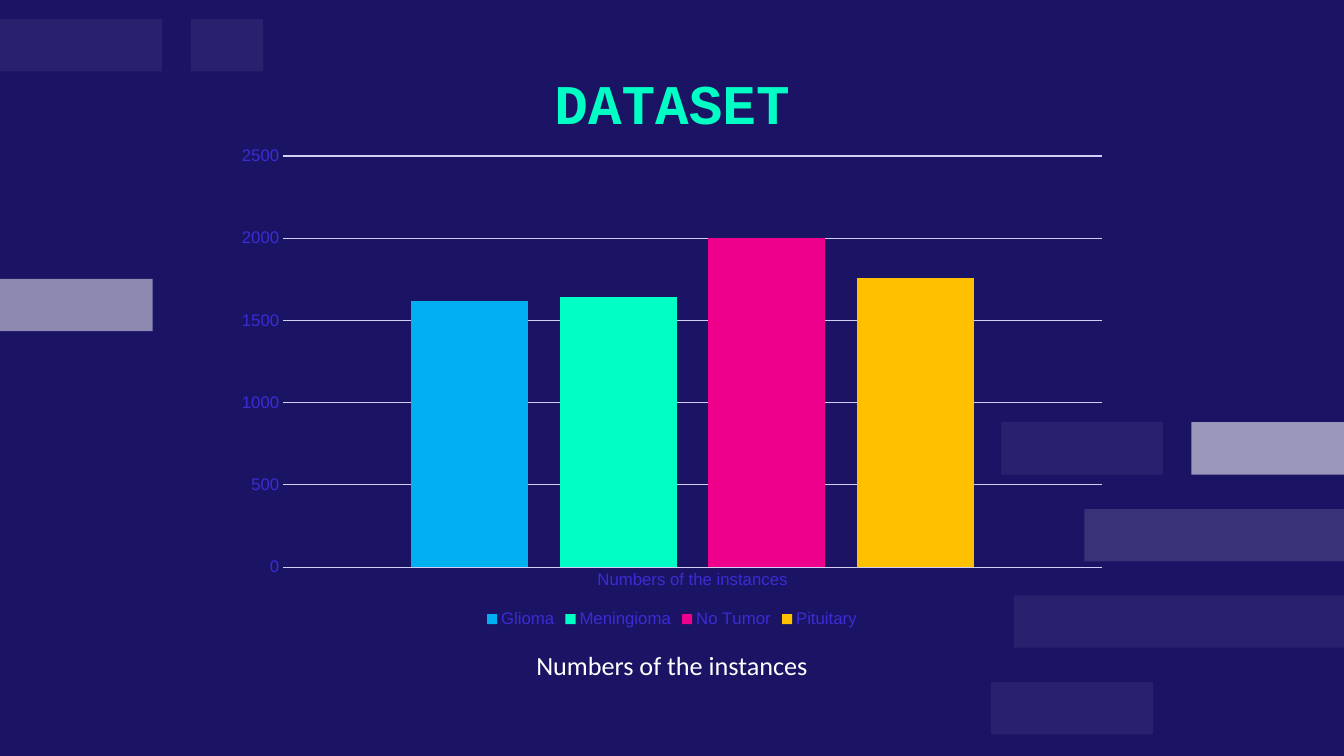
from pptx import Presentation
from pptx.chart.data import CategoryChartData
from pptx.dml.color import RGBColor
from pptx.enum import chart as charts, shapes, text
from pptx.oxml import ns
from pptx.util import Pt
from lxml import etree

NAVY, MINT, WHITE = "1B1464", "00FFC5", "FFFFFF"
VIOLET, LAVENDER = "3B2CD5", "D2CEF5"

BLOCK_HEIGHT = 37.4
# left, top, width, opacity in percent
BLOCKS = [
    (774.5, 363.6, 185.5, 13),
    (715, 301.6, 115.9, 6),
    (724.3, 425.3, 235.7, 6),
    (851, 301.6, 109, 56),
    (707.8, 487.2, 115.9, 6),
    (0, 199.2, 109, 50),
    (0, 13.6, 115.9, 6),
    (136.5, 13.6, 51.5, 6),
]
INSTANCES = [
    ("Glioma", 1620, "00B0F0"),
    ("Meningioma", 1640, MINT),
    ("No Tumor", 2000, "EC008C"),
    ("Pituitary", 1760, "FFC000"),
]


def color(code):
    return RGBColor.from_string(code)


def points(*lengths):
    return [Pt(length) for length in lengths]


class SlideBuilder:
    """Holds the page being built and its shared style."""

    def __init__(self, page, inset=9.6, chart_font="Arial", chart_size=12):
        self.page = page
        self.inset = inset
        self.chart_font = chart_font
        self.chart_size = chart_size

    def background(self, code):
        fill = self.page.background.fill
        fill.solid()
        fill.fore_color.rgb = color(code)

    def placeholder(self, index, words, place, font, size, code, anchor, bold=False):
        box = self.page.placeholders[index]
        box.left, box.top, box.width, box.height = points(*place)
        frame = box.text_frame
        frame.text = words
        frame.word_wrap = True
        frame.auto_size = text.MSO_AUTO_SIZE.NONE
        frame.vertical_anchor = anchor
        frame.margin_left = frame.margin_right = Pt(self.inset)
        frame.margin_top = frame.margin_bottom = Pt(self.inset)
        para = frame.paragraphs[0]
        para.alignment = text.PP_ALIGN.CENTER
        para.space_before = Pt(0)
        span = para.runs[0]
        span.font.name, span.font.size, span.font.bold = font, Pt(size), bold
        span.font.color.rgb = color(code)
        return para

    def block(self, left, top, width, opacity):
        """Add a translucent white rectangle."""
        block = self.page.shapes.add_shape(
            shapes.MSO_SHAPE.RECTANGLE, *points(left, top, width, BLOCK_HEIGHT))
        block.shadow.inherit = False
        block.line.fill.background()
        block.fill.solid()
        block.fill.fore_color.rgb = color(WHITE)
        shade = block.fill._xPr.find(".//" + ns.qn("a:srgbClr"))
        etree.SubElement(shade, ns.qn("a:alpha"), val=str(opacity * 1000))

    def chart_text(self, font):
        font.name, font.size = self.chart_font, Pt(self.chart_size)
        font.color.rgb = color(VIOLET)

    def rule(self, line):
        line.color.rgb = color(LAVENDER)
        line.width = Pt(0.75)

    def column_chart(self, category, series, place):
        data = CategoryChartData()
        data.categories = [category]
        for name, count, _ in series:
            data.add_series(name, [count])
        chart = self.page.shapes.add_chart(
            charts.XL_CHART_TYPE.COLUMN_CLUSTERED, *points(*place), data).chart
        chart.has_title = False
        self.chart_text(chart.font)

        plot = chart.plots[0]
        plot.vary_by_categories = False
        plot.gap_width, plot.overlap = 219, -27
        for column, (_, _, code) in zip(plot.series, series):
            column.format.fill.solid()
            column.format.fill.fore_color.rgb = color(code)

        for axis in (chart.category_axis, chart.value_axis):
            axis.major_tick_mark = axis.minor_tick_mark = charts.XL_TICK_MARK.NONE
            self.chart_text(axis.tick_labels.font)
        self.rule(chart.category_axis.format.line)
        counts = chart.value_axis
        counts.minimum_scale, counts.maximum_scale, counts.major_unit = 0, 2500, 500
        counts.format.line.fill.background()
        self.rule(counts.major_gridlines.format.line)

        chart.has_legend = True
        chart.legend.position = charts.XL_LEGEND_POSITION.BOTTOM
        chart.legend.include_in_layout = False
        self.chart_text(chart.legend.font)


def main():
    deck = Presentation()
    deck.slide_width, deck.slide_height = points(960, 540)
    builder = SlideBuilder(deck.slides.add_slide(deck.slide_layouts[0]))
    builder.background(NAVY)
    builder.placeholder(0, "DATASET", (134, 36, 692, 70.6), "Courier New", 40,
                        MINT, text.MSO_ANCHOR.BOTTOM, bold=True)
    caption = builder.placeholder(1, "Numbers of the instances", (197, 450.7, 566, 36.7),
                                  "Calibri", 18.7, WHITE, text.MSO_ANCHOR.TOP)
    caption.line_spacing = 1.15
    caption.space_after = Pt(21.3)
    for block in BLOCKS:
        builder.block(*block)
    builder.column_chart("Numbers of the instances", INSTANCES, (160, 98, 640, 353.5))
    deck.save("out.pptx")


if __name__ == "__main__":
    main()
